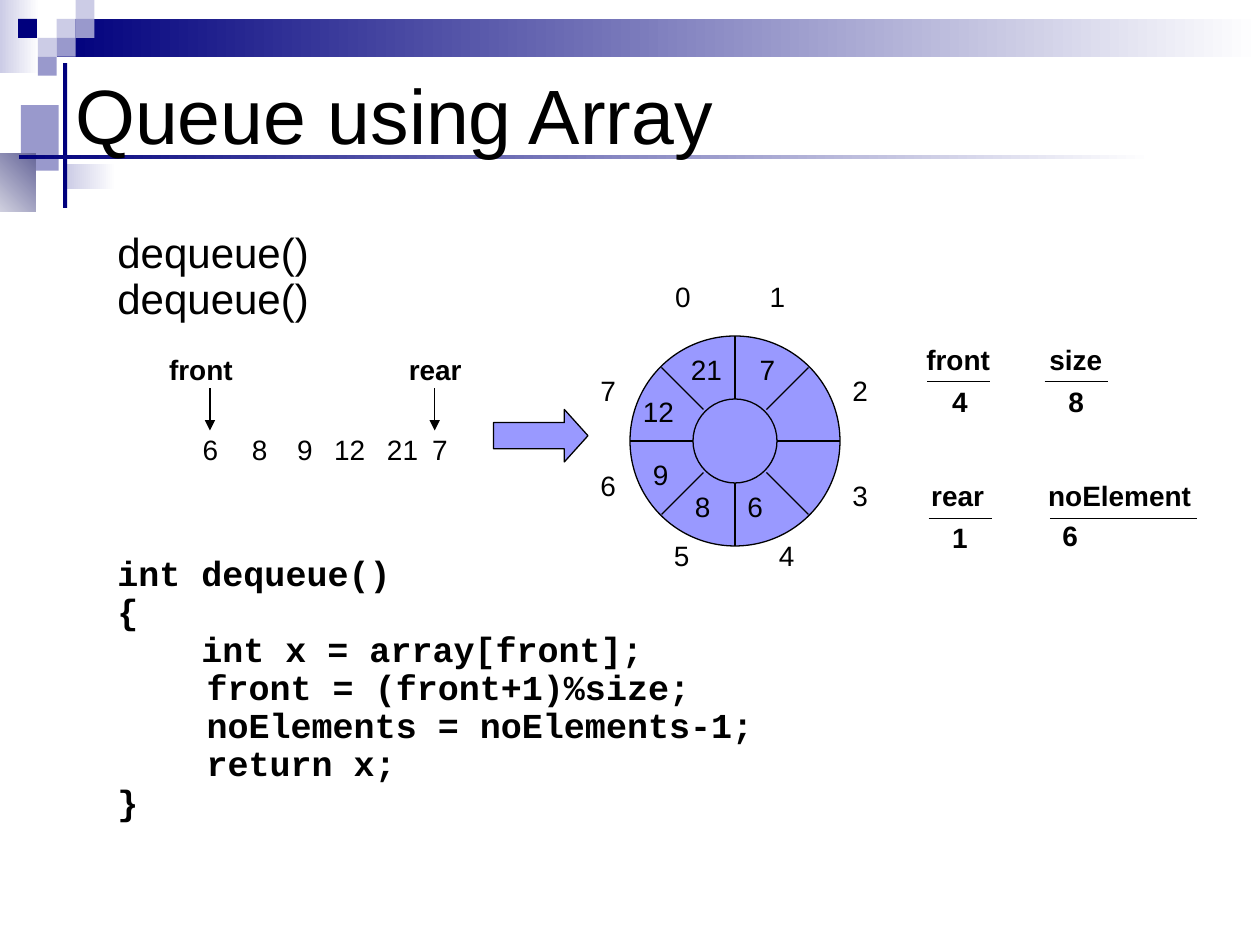
from dataclasses import dataclass
from itertools import product

import pptx
import pptx.dml.color
import pptx.enum.shapes
import pptx.enum.text
import pptx.util
from lxml import etree
from pptx.oxml.ns import qn

Pt = pptx.util.Pt
Shapes = pptx.enum.shapes.MSO_SHAPE
Align = pptx.enum.text.PP_ALIGN
Anchor = pptx.enum.text.MSO_ANCHOR

BLACK, NAVY, LILAC, MAUVE, WHITE = "000000", "00007D", "CCCCE6", "9999CC", "FFFFFF"
PERIWINKLE, SLATE = "9999FF", "666699"
LABEL_HEIGHT = 26.4


@dataclass
class Block:
    """A borderless rectangle; two colours make a gradient."""
    left: float
    top: float
    width: float
    height: float
    colours: tuple[str, ...]
    angle: float = 0


@dataclass
class Label:
    text: str
    left: float
    top: float
    width: float = 23
    bold: bool = False


@dataclass
class Rule:
    x1: float
    y1: float
    x2: float
    y2: float
    arrow: bool = False


def colour(hex_value: str) -> pptx.dml.color.RGBColor:
    return pptx.dml.color.RGBColor.from_string(hex_value)


def draw_block(slide, block: Block) -> None:
    shape = slide.shapes.add_shape(Shapes.RECTANGLE, Pt(block.left), Pt(block.top),
                                   Pt(block.width), Pt(block.height))
    shape.shadow.inherit = False
    shape.line.fill.background()
    if len(block.colours) == 1:
        shape.fill.solid()
        shape.fill.fore_color.rgb = colour(block.colours[0])
        return
    shape.fill.gradient()
    shape.fill.gradient_angle = block.angle
    for stop, hex_value in zip(shape.fill.gradient_stops, block.colours):
        stop.color.rgb = colour(hex_value)


def draw_outlined(slide, kind, left: float, top: float, width: float, height: float):
    shape = slide.shapes.add_shape(kind, Pt(left), Pt(top), Pt(width), Pt(height))
    shape.shadow.inherit = False
    shape.fill.solid()
    shape.fill.fore_color.rgb = colour(PERIWINKLE)
    shape.line.color.rgb = colour(BLACK)
    shape.line.width = Pt(0.75)
    return shape


def draw_rule(slide, rule: Rule) -> None:
    line = slide.shapes.add_connector(pptx.enum.shapes.MSO_CONNECTOR.STRAIGHT, Pt(rule.x1),
                                      Pt(rule.y1), Pt(rule.x2), Pt(rule.y2))
    line.line.color.rgb = colour(BLACK)
    line.line.width = Pt(0.75)
    if rule.arrow:
        etree.SubElement(line.line._get_or_add_ln(), qn("a:tailEnd"), type="triangle")
    etree.SubElement(line._element.spPr, qn("a:effectLst"))


def draw_text(slide, lines: list[str], left: float, top: float, width: float, height: float,
              size: float, font: str = "Arial", bold: bool = False, wrap: bool = True,
              align=Align.LEFT, anchor=Anchor.TOP):
    """Add a text box with one paragraph per line and return its text frame."""
    frame = slide.shapes.add_textbox(Pt(left), Pt(top), Pt(width), Pt(height)).text_frame
    frame.word_wrap = wrap
    frame.vertical_anchor = anchor
    frame.text = "\n".join(lines)
    for paragraph in frame.paragraphs:
        paragraph.alignment = align
        for run in paragraph.runs:
            run.font.name = font
            run.font.size = Pt(size)
            run.font.bold = bold
            run.font.color.rgb = colour(BLACK)
    return frame


def draw_label(slide, label: Label) -> None:
    draw_text(slide, [label.text], label.left, label.top, label.width, LABEL_HEIGHT, 16,
              bold=label.bold, wrap=False, align=Align.CENTER)


def draw_code(slide, code: list[tuple[str, float]]) -> None:
    """Draw code lines, each with its indent in points."""
    frame = draw_text(slide, [line for line, _ in code], 60, 318, 432, 186, 20,
                      font="Courier New", bold=True)
    for paragraph, (_, indent) in zip(frame.paragraphs, code):
        paragraph.line_spacing = 0.7
        paragraph.space_before = Pt(5)
        paragraph._p.get_or_add_pPr().set("marL", str(Pt(indent)))


def draw_ring(slide, centre_x: float, centre_y: float) -> None:
    """Draw the circular array with its eight dividers."""
    for radius in (60, 24):
        draw_outlined(slide, Shapes.OVAL, centre_x - radius, centre_y - radius,
                      2 * radius, 2 * radius)
    for dx, dy in product((-1, 0, 1), repeat=2):
        if dx or dy:
            inner, outer = (18, 42) if dx and dy else (24, 60)
            draw_rule(slide, Rule(centre_x + dx * inner, centre_y + dy * inner,
                                  centre_x + dx * outer, centre_y + dy * outer))


DECORATION = [
    Block(0, 0, 22.5, 42, (LILAC, WHITE)),
    Block(32.4, 10.8, 687.6, 21.6, (NAVY, WHITE)),
    *(Block(left, top, 10.8, 10.8, (shade,)) for left, top, shade in [
        (32.4, 10.8, LILAC), (43.2, 0, LILAC), (43.2, 10.8, MAUVE), (21.6, 21.6, LILAC),
        (10.3, 10.8, NAVY), (32.4, 21.6, MAUVE), (21.6, 32.4, MAUVE)]),
    Block(12, 60, 21.6, 37.5, (MAUVE,)),
    Block(37.5, 93.6, 28.8, 14.4, (LILAC, WHITE)),
    Block(-23.6, 87.8, 44, 33.2, (WHITE, SLATE), angle=45),
    Block(36, 36, 2.4, 82.8, (NAVY,)),
    Block(10.8, 88.5, 648, 2.2, (NAVY, WHITE)),
]

QUEUE = [
    Label("front", 89.3, 198, 51, True), Label("rear", 226, 198, 45.4, True),
    *(Label(value, left, 243.4, 23 if len(value) == 1 else 32.4) for value, left in [
        ("6", 108.7), ("8", 136.8), ("9", 162.7), ("12", 183.6), ("21", 213.8),
        ("7", 239.8)]),
]

SLOT_INDEXES = [
    Label("0", 378.7, 156), Label("1", 432.7, 156), Label("2", 480, 210),
    Label("3", 480, 270), Label("4", 438, 304), Label("5", 378, 304),
    Label("6", 336, 264), Label("7", 336, 210),
]

SLOT_VALUES = [
    Label("21", 387.4, 198, 32.4), Label("7", 427, 198), Label("12", 360, 222, 32.4),
    Label("9", 366, 258), Label("8", 390, 276), Label("6", 420, 276),
]

VARIABLES = [
    Label("front", 522, 192, 51, True), Label("4", 537, 216, bold=True),
    Label("size", 592, 192, 45.4, True), Label("8", 603.4, 216, bold=True),
    Label("rear", 522, 270, 50.4, True), Label("1", 537, 294, bold=True),
    Label("noElement", 589, 270, 101.5, True), Label("6", 600, 293, bold=True),
]

RULES = [
    Rule(120, 222, 120, 246, arrow=True), Rule(248.4, 222, 248.4, 246, arrow=True),
    Rule(530, 218.2, 566, 218.2), Rule(597, 218.2, 633, 218.2),
    Rule(530.6, 296.4, 566.6, 296.4), Rule(600, 296.4, 684, 296.4),
]

CODE = [
    ("int dequeue()", 0), ("{", 0), ("int x = array[front];", 48),
    ("front = (front+1)%size;", 51), ("noElements = noElements-1;", 51),
    ("return x;", 51), ("}", 0),
]


def main() -> None:
    deck = pptx.Presentation()
    deck.slide_width, deck.slide_height = Pt(720), Pt(540)
    slide = deck.slides.add_slide(deck.slide_layouts[6])
    for block in DECORATION:
        draw_block(slide, block)
    draw_text(slide, ["Queue using Array"], 36, 28.8, 648, 72, 44, anchor=Anchor.MIDDLE)
    draw_code(slide, CODE)
    for top in (126, 152):
        draw_text(slide, ["dequeue()"], 60, top, 124, 36, 24, wrap=False)
    arrow = draw_outlined(slide, Shapes.RIGHT_ARROW, 282, 234, 54, 30)
    arrow.adjustments[1] = 0.45
    draw_ring(slide, 420, 252)
    for rule in RULES:
        draw_rule(slide, rule)
    for label in QUEUE + SLOT_INDEXES + SLOT_VALUES + VARIABLES:
        draw_label(slide, label)
    deck.save("out.pptx")


if __name__ == "__main__":
    main()
